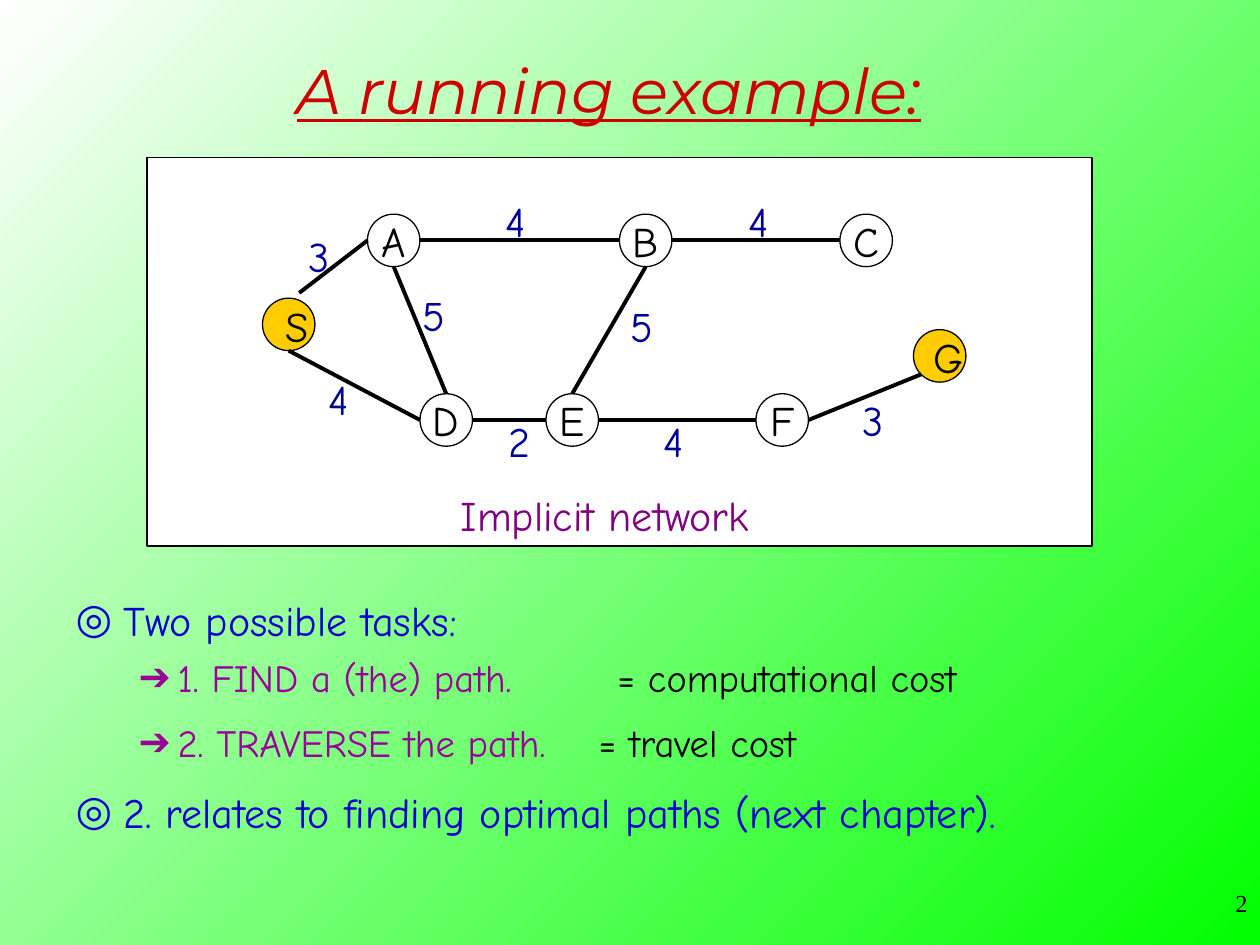
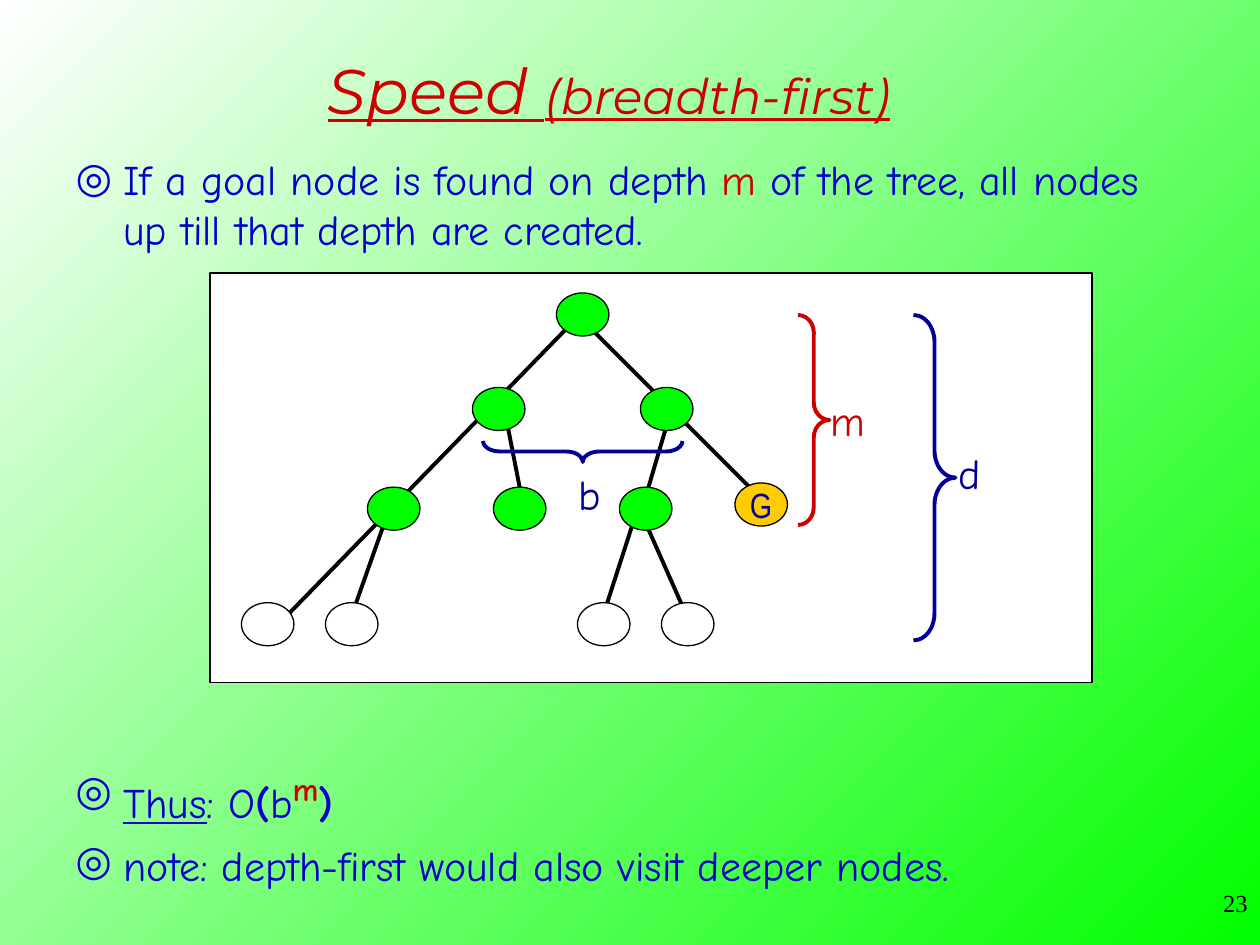
from dataclasses import dataclass
from typing import NamedTuple, Optional

from lxml import etree
from pptx import Presentation
from pptx import util as u
from pptx.dml.color import RGBColor
from pptx.enum import shapes, text
from pptx.oxml import ns

# Shared look: a grid of 120 columns by 90 rows, twelve to the inch
CELL = u.Inches(1) // 12
COLUMNS, ROWS = 120, 90
RED, BLUE, NAVY, PURPLE = "CC0000", "0000CC", "000099", "990099"
BLACK, WHITE, GREEN, GOLD = "000000", "FFFFFF", "00FF00", "FFCC00"
TITLE_FONT, BODY_FONT, NUMBER_FONT = "Montserrat", "Comic Neue", "Times New Roman"
NODE_FONT = "Arial Narrow"
THIN, THICK = 0.75, 2.25


class Box(NamedTuple):
    column: float
    row: float
    width: float
    height: float


class Run(NamedTuple):
    text: str
    color: str = BLUE
    size: float = 24
    font: str = BODY_FONT
    bold: bool = False
    italic: bool = False
    underline: bool = False
    baseline: int = 0


class Bullet(NamedTuple):
    mark: str
    color: str
    left: float
    hanging: float
    space_before: float


BULLETS = (Bullet("◎", BLUE, 0.38, 0.38, 6), Bullet("➔", PURPLE, 0.81, 0.31, 5.5))


@dataclass
class Item:
    runs: list[Run]
    level: int = 0
    line_spacing: float = 1.0
    tab: Optional[float] = None


@dataclass
class Node:
    box: Box
    fill: str = WHITE
    label: Optional[Run] = None


@dataclass
class Label:
    text: str
    column: float
    row: float
    color: str = NAVY
    width: float = 4.4


@dataclass
class Brace:
    box: Box
    color: str
    rotation: int = 0


def rgb(color: str) -> RGBColor:
    return RGBColor.from_string(color)


def grid(*cells: float) -> list[int]:
    return [round(cell * CELL) for cell in cells]


def add_runs(paragraph, runs: list[Run]) -> None:
    for item in runs:
        run = paragraph.add_run()
        run.text = item.text
        font = run.font
        font.name, font.size = item.font, u.Pt(item.size)
        font.bold, font.italic, font.underline = item.bold, item.italic, item.underline
        font.color.rgb = rgb(item.color)
        if item.baseline:
            run._r.get_or_add_rPr().set("baseline", str(item.baseline * 1000))


def add_list(shape, items: list[Item]) -> None:
    frame = shape.text_frame
    frame.word_wrap, frame.auto_size = True, text.MSO_AUTO_SIZE.NONE
    for index, item in enumerate(items):
        paragraph = frame.add_paragraph() if index else frame.paragraphs[0]
        bullet = BULLETS[item.level]
        paragraph.level = item.level
        properties = paragraph._p.get_or_add_pPr()
        properties.set("marL", str(u.Inches(bullet.left)))
        properties.set("indent", str(-u.Inches(bullet.hanging)))
        color = etree.SubElement(properties, ns.qn("a:buClr"))
        etree.SubElement(color, ns.qn("a:srgbClr"), val=bullet.color)
        etree.SubElement(properties, ns.qn("a:buChar"), char=bullet.mark)
        if item.tab:
            tabs = etree.SubElement(properties, ns.qn("a:tabLst"))
            etree.SubElement(tabs, ns.qn("a:tab"), pos=str(u.Inches(item.tab)), algn="l")
        paragraph.space_before = u.Pt(bullet.space_before if index else 0)
        paragraph.line_spacing = item.line_spacing
        add_runs(paragraph, item.runs)


def place(shape, box: Box):
    shape.left, shape.top, shape.width, shape.height = grid(*box)
    return shape


def add_slide(presentation, title: list[Run], body: Box, items: list[Item], number: str):
    slide = presentation.slides.add_slide(presentation.slide_layouts[1])
    heading = place(slide.shapes.title, Box(7, 1, 102, 15)).text_frame
    heading.auto_size = text.MSO_AUTO_SIZE.NONE
    heading.vertical_anchor = text.MSO_ANCHOR.MIDDLE
    heading.paragraphs[0].alignment = text.PP_ALIGN.CENTER
    add_runs(heading.paragraphs[0], title)
    add_list(place(slide.placeholders[1], body), items)
    footer = slide.shapes.add_textbox(*grid(95, 84, 25, 6)).text_frame
    footer.word_wrap = True
    footer.paragraphs[0].alignment = text.PP_ALIGN.RIGHT
    add_runs(footer.paragraphs[0], [Run(number, BLACK, 14, NUMBER_FONT)])
    return slide


def title_run(words: str, size: float = 36) -> Run:
    return Run(words, RED, size, TITLE_FONT, italic=True, underline=True)


def add_outline(slide, kind, box: Box, fill: Optional[str], line: str = BLACK, weight: float = THIN):
    shape = slide.shapes.add_shape(kind, *grid(*box))
    shape.shadow.inherit = False
    if fill:
        shape.fill.solid()
        shape.fill.fore_color.rgb = rgb(fill)
    else:
        shape.fill.background()
    shape.line.color.rgb, shape.line.width = rgb(line), u.Pt(weight)
    return shape


def add_node(slide, node: Node) -> None:
    shape = add_outline(slide, shapes.MSO_SHAPE.OVAL, node.box, node.fill)
    if node.label:
        frame = shape.text_frame
        frame.word_wrap, frame.vertical_anchor = False, text.MSO_ANCHOR.MIDDLE
        frame.paragraphs[0].alignment = text.PP_ALIGN.CENTER
        add_runs(frame.paragraphs[0], [node.label])


def add_edge(slide, start: tuple[float, float], end: tuple[float, float]) -> None:
    line = slide.shapes.add_connector(shapes.MSO_CONNECTOR.STRAIGHT, *grid(*start, *end))
    line.line.color.rgb, line.line.width = rgb(BLACK), u.Pt(THICK)
    etree.SubElement(line._element.spPr, ns.qn("a:effectLst"))


def add_label(slide, label: Label) -> None:
    frame = slide.shapes.add_textbox(*grid(label.column, label.row, label.width, 6)).text_frame
    frame.word_wrap = False
    add_runs(frame.paragraphs[0], [Run(label.text, label.color)])


def add_brace(slide, brace: Brace) -> None:
    shape = add_outline(slide, shapes.MSO_SHAPE.RIGHT_BRACE, brace.box, None, brace.color, THICK)
    shape.adjustments[0] = brace.box.height / 12 / brace.box.width
    shape.rotation = brace.rotation


# Points on a node as shares of its width and height
SIDES = {"top": (0.5, 0), "left": (0, 0.5), "bottom": (0.5, 1), "right": (1, 0.5),
         "lower left": (0.15, 0.85), "above": (0.7, -0.1)}


def side_point(box: Box, side: str) -> tuple[float, float]:
    across, down = SIDES[side]
    return box.column + across * box.width, box.row + down * box.height


def build_network(presentation) -> None:
    slide = add_slide(
        presentation, [title_run("A running example:")], Box(6, 56, 104, 28),
        [Item([Run("Two possible tasks:")]),
         Item([Run("1. FIND a (the) path.\t", PURPLE, 22),
               Run("= computational cost", BLACK, 22)], 1, tab=4.3),
         Item([Run("2. TRAVERSE the path.\t", PURPLE, 22),
               Run("= travel cost", BLACK, 22)], 1, 1.2, tab=4.15),
         Item([Run("2. relates to finding optimal paths (next chapter).")], 0, 1.2)], "2")
    add_outline(slide, shapes.MSO_SHAPE.RECTANGLE, Box(14, 15, 90, 37), WHITE)

    # Nodes
    upper, lower = 20.4, 37.5
    positions = {"A": (35, upper), "B": (59, upper), "C": (80, upper), "D": (40, lower),
                 "E": (52, lower), "F": (72, lower), "S": (25, 28.4), "G": (87, 31.4)}
    boxes = {name: Box(*position, 5, 5) for name, position in positions.items()}
    for name, box in boxes.items():
        is_terminal = name in "SG"
        add_node(slide, Node(box, GOLD if is_terminal else WHITE,
                             None if is_terminal else Run(name, BLACK)))

    # Edges
    for first, first_side, second, second_side in (
            ("S", "above", "A", "left"), ("S", "bottom", "D", "left"),
            ("A", "right", "B", "left"), ("D", "right", "E", "left"),
            ("B", "right", "C", "left"), ("E", "right", "F", "left"),
            ("F", "right", "G", "lower left"), ("A", "bottom", "D", "top"),
            ("E", "top", "B", "bottom")):
        add_edge(slide, side_point(boxes[first], first_side), side_point(boxes[second], second_side))

    # Names of the terminals, edge costs and caption
    for label in (
            Label("G", 87.7, 31, BLACK, 5.3), Label("S", 26, 28, BLACK, 4.6),
            Label("3", 28.2, 21.4), Label("4", 30.1, 35), Label("4", 47, 18),
            Label("4", 62, 39), Label("5", 39.1, 27), Label("5", 58.9, 28),
            Label("4", 70.1, 18), Label("3", 81, 37), Label("2", 47.2, 39),
            Label("Implicit network", 42.7, 46, "800080", 29.9)):
        add_label(slide, label)


def build_tree(presentation) -> None:
    slide = add_slide(
        presentation, [title_run("Speed "), title_run("(breadth-first)", 28)], Box(6, 14, 108, 14),
        [Item([Run("If a goal node is found on depth "), Run("m", RED),
               Run(" of the tree, all nodes up till that depth are created.")])], "23")
    add_outline(slide, shapes.MSO_SHAPE.RECTANGLE, Box(20, 26, 84, 39), WHITE)

    # Branches, behind the nodes
    for start, end in (
            ((55, 30), (73, 48)), ((61, 48.7), (66, 60)), ((61, 47.6), (57, 60)),
            ((37, 48.7), (33, 60)), ((64, 38.8), (61, 49)), ((48, 38.8), (50, 49)),
            ((56, 29.2), (26, 60))):
        add_edge(slide, start, end)

    # Nodes, level by level
    for row, columns, fill in ((27.9, (53,), GREEN), (36.9, (45, 61), GREEN),
                               (46.4, (35, 47, 59), GREEN), (57.4, (23, 31, 55, 63), WHITE)):
        for column in columns:
            add_node(slide, Node(Box(column, row, 5, 4.1), fill))
    add_node(slide, Node(Box(70, 46, 5, 4.1), GOLD, Run("G", NAVY, 20, NODE_FONT)))

    # Depth and branching braces
    for brace in (Brace(Box(87, 30, 4, 31), NAVY), Brace(Box(76, 30, 3, 20), RED),
                  Brace(Box(54.5, 33.5, 2, 19), NAVY, 90)):
        add_brace(slide, brace)
    for label in (Label("d", 90.1, 42), Label("b", 53.9, 44, width=4.6),
                  Label("m", 77.9, 37, RED, 5.6)):
        add_label(slide, label)

    # Conclusion
    add_list(slide.shapes.add_textbox(*grid(6, 72, 108, 13)), [
        Item([Run("Thus", underline=True), Run(": O"), Run("(", bold=True), Run("b"),
              Run("m", RED, 32, bold=True, baseline=30), Run(")", bold=True)]),
        Item([Run("note: depth-first would also visit deeper nodes.")])])


def main() -> None:
    presentation = Presentation()
    presentation.slide_width, presentation.slide_height = grid(COLUMNS, ROWS)
    # Background shared through the master
    fill = presentation.slide_master.background.fill
    fill.gradient()
    fill.gradient_angle = 135
    for stop, position, color in zip(fill.gradient_stops, (0, 1), (GREEN, WHITE)):
        stop.position, stop.color.rgb = position, rgb(color)
    build_network(presentation)
    build_tree(presentation)
    presentation.save("out.pptx")


if __name__ == "__main__":
    main()
